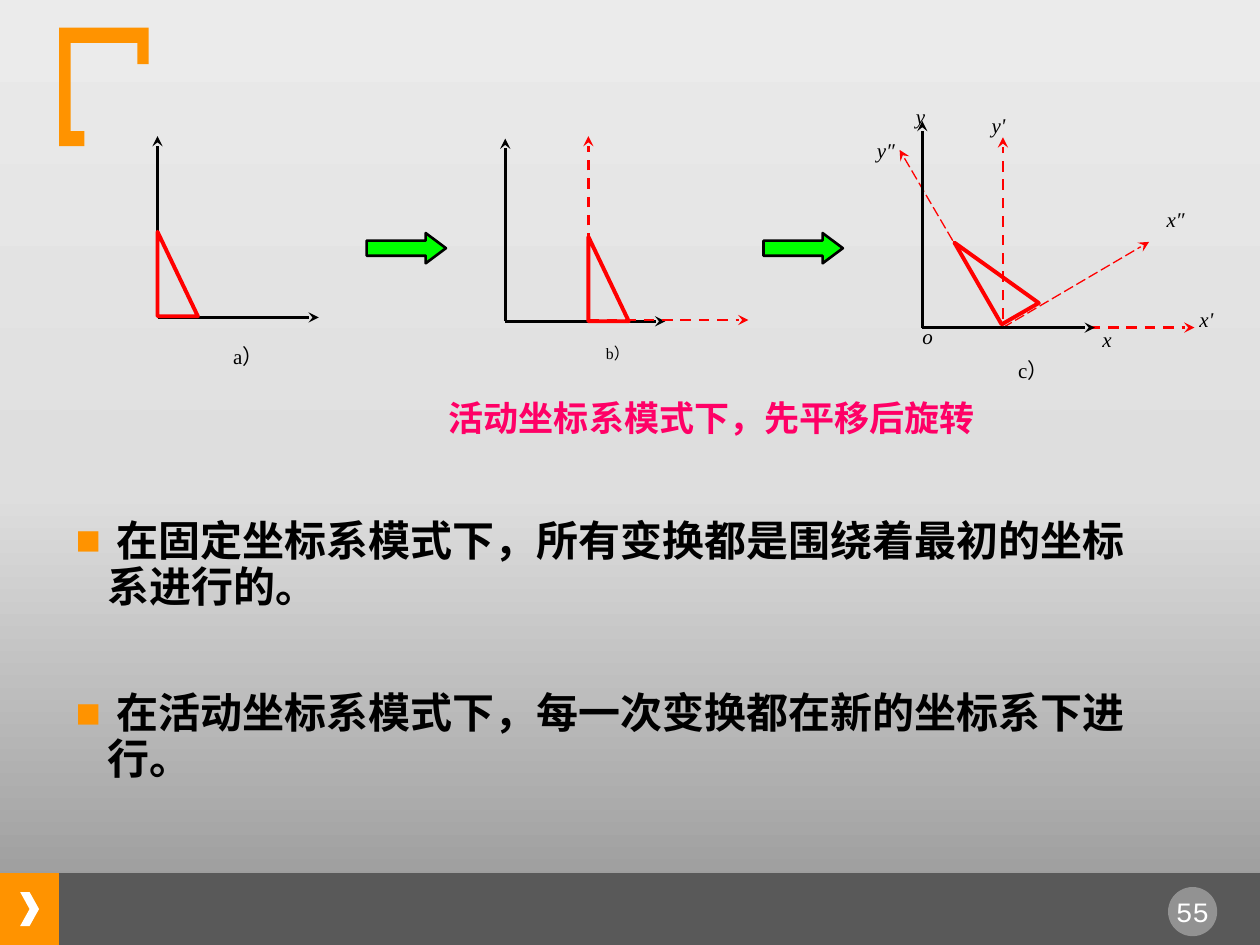
from copy import deepcopy
from lxml.etree import SubElement
from pptx import Presentation
from pptx.dml.color import RGBColor
from pptx.enum.dml import MSO_LINE
from pptx.enum.shapes import MSO_CONNECTOR, MSO_SHAPE
from pptx.enum.text import MSO_ANCHOR, MSO_AUTO_SIZE, PP_ALIGN
from pptx.oxml.ns import qn
from pptx.util import Inches, Pt

BLACK, RED, WHITE, ORANGE = "000000", "FF0000", "FFFFFF", "FF9300"
SANS, SERIF, MONO = "Noto Sans CJK SC", "Times New Roman", "Courier New"
SOLID, DASH, LONG = MSO_LINE.SOLID, MSO_LINE.DASH, MSO_LINE.LONG_DASH

BACKDROP = [(0, "949494"), (0.48, "DEDEDE"), (1, "EBEBEB")]
FRAME = [
    (MSO_SHAPE.RECTANGLE, (0, 6.93, 0.47, 0.57), ORANGE),
    (MSO_SHAPE.RECTANGLE, (0.47, 6.93, 9.53, 0.57), "595959"),
    (MSO_SHAPE.CHEVRON, (0.16, 7.08, 0.15, 0.27), WHITE),
    (MSO_SHAPE.OVAL, (9.27, 7.04, 0.39, 0.39), WHITE),
]
BRACKET = [(0.47, 0.22), (1.18, 0.22), (1.18, 0.51), (1.09, 0.51), (1.09, 0.34),
           (0.56, 0.34), (0.56, 1.04), (0.67, 1.04), (0.67, 1.16), (0.47, 1.16)]
POINTS = [
    " 在固定坐标系模式下，所有变换都是围绕着最初的坐标系进行的。",
    " 在活动坐标系模式下，每一次变换都在新的坐标系下进行。",
]
CAPTION = "活动坐标系模式下，先平移后旋转"
STEP_ARROWS = [2.91, 6.06]

DIAGRAMS = [
    {
        "axes": [((1.25, 2.52), (2.53, 2.52), BLACK, 1.5, SOLID),
                 ((1.25, 2.52), (1.25, 1.08), BLACK, 1.5, SOLID)],
        "triangle": (1.25, 1.84, 0.32, 0.67, 0),
        "labels": [("a）", (1.85, 2.73, 0.46, 0.37), 12, False)],
    },
    {
        "axes": [((4.01, 2.55), (5.28, 2.55), BLACK, 1.5, SOLID),
                 ((4.01, 2.55), (4.01, 1.1), BLACK, 1.5, SOLID),
                 ((4.67, 2.54), (5.94, 2.54), RED, 1.5, DASH),
                 ((4.67, 2.52), (4.67, 1.08), RED, 1.5, DASH)],
        "triangle": (4.67, 1.88, 0.32, 0.67, 0),
        "labels": [("b）", (4.81, 2.73, 0.46, 0.37), 9, False)],
    },
    {
        "axes": [((8.21, 2.6), (9.48, 2.6), RED, 1.5, DASH),
                 ((7.96, 2.59), (7.14, 1.19), RED, 0.75, LONG),
                 ((7.96, 2.6), (9.12, 1.92), RED, 0.75, LONG),
                 ((7.32, 2.6), (8.69, 2.6), BLACK, 1.5, SOLID),
                 ((7.32, 2.6), (7.32, 0.96), BLACK, 1.5, SOLID),
                 ((7.96, 2.53), (7.96, 1.09), RED, 1.5, DASH)],
        "triangle": (7.74, 1.79, 0.34, 0.75, 330),
        "labels": [("c）", (8.08, 2.84, 0.53, 0.32), 12, False),
                   ("x″", (9.26, 1.64, 0.27, 0.3), 12, True),
                   ("x", (8.75, 2.59, 0.14, 0.3), 12, True),
                   ("y", (7.27, 0.82, 0.14, 0.3), 12, True),
                   ("y″", (6.96, 1.09, 0.27, 0.3), 12, True),
                   ("o", (7.32, 2.57, 0.11, 0.31), 12, True),
                   ("x'", (9.52, 2.43, 0.27, 0.3), 12, True),
                   ("y'", (7.87, 0.89, 0.27, 0.3), 12, True)],
    },
]


def paint(color_format, color):
    color_format.rgb = RGBColor.from_string(color)


def fill_with(shape, color):
    shape.shadow.inherit = False
    shape.fill.solid()
    paint(shape.fill.fore_color, color)
    shape.line.fill.background()


def outline(shape, color, width):
    paint(shape.line.color, color)
    shape.line.width = Pt(width)


def style(para, face, size, color, bold=False, italic=False):
    font = para.font
    font.name, font.size, font.bold, font.italic = face, Pt(size), bold, italic
    paint(font.color, color)
    if face == SANS:
        latin = font._element.find(qn("a:latin"))
        east_asian = deepcopy(latin)
        east_asian.tag = qn("a:ea")
        latin.addnext(east_asian)


def add_text(shapes, text, area, align, inset=None):
    box = shapes.add_textbox(*map(Inches, area))
    frame = box.text_frame
    frame.word_wrap = True
    if inset is not None:
        frame.margin_left = frame.margin_right = Inches(inset)
        frame.margin_top = frame.margin_bottom = Inches(inset)
    para = frame.paragraphs[0]
    para.text, para.alignment = text, align
    return para


def add_polygon(shapes, corners):
    (x, y), *others = [(Inches(x), Inches(y)) for x, y in corners]
    builder = shapes.build_freeform(x, y)
    builder.add_line_segments(others, close=True)
    shape = builder.convert_to_shape()
    shape.shadow.inherit = False
    return shape


def add_axis(shapes, start, end, color, width, dash):
    axis = shapes.add_connector(MSO_CONNECTOR.STRAIGHT, *map(Inches, start + end))
    outline(axis, color, width)
    axis.line.dash_style = dash
    SubElement(axis.line._get_or_add_ln(), qn("a:tailEnd"), type="stealth")
    SubElement(axis._element.spPr, qn("a:effectLst"))


def add_triangle(shapes, left, top, width, height, rotation):
    bottom = top + height
    shape = add_polygon(shapes, [(left, top), (left, bottom), (left + width, bottom)])
    shape.fill.background()
    outline(shape, RED, 2.25)
    shape.rotation = rotation


def add_diagram(page, diagram):
    shapes = page.shapes.add_group_shape().shapes
    for axis in diagram["axes"]:
        add_axis(shapes, *axis)
    add_triangle(shapes, *diagram["triangle"])
    for text, area, size, italic in diagram["labels"]:
        para = add_text(shapes, text, area, PP_ALIGN.JUSTIFY, 0)
        style(para, SERIF, size, BLACK, italic=italic)


def add_backdrop(page):
    fill = page.background.fill
    fill.gradient()
    fill.gradient_angle = 90
    last = fill.gradient_stops[1]._gs
    last.addnext(deepcopy(last))
    for stop, (position, color) in zip(fill.gradient_stops, BACKDROP):
        stop.position = position
        paint(stop.color, color)


def add_frame(page):
    for kind, area, color in FRAME:
        shape = page.shapes.add_shape(kind, *map(Inches, area))
        fill_with(shape, color)
    tint = shape.fill._xPr.find(".//" + qn("a:srgbClr"))
    SubElement(tint, qn("a:alpha"), val="35000")
    para = add_text(page.shapes, "55", (9.2, 7.05, 0.53, 0.37), PP_ALIGN.CENTER)
    style(para, MONO, 16, WHITE)
    fill_with(add_polygon(page.shapes, BRACKET), ORANGE)


def fill_body(body):
    body.left, body.top, body.width, body.height = map(Inches, (0.5, 4.08, 8.85, 2.23))
    frame = body.text_frame
    frame.text = "\n".join(POINTS)
    frame.auto_size, frame.vertical_anchor = MSO_AUTO_SIZE.NONE, MSO_ANCHOR.TOP
    for index, para in enumerate(frame.paragraphs):
        para.line_spacing = 0.9
        para.space_before = Pt(46.5 if index else 0)
        props = para._p.get_or_add_pPr()
        props.set("marL", str(Inches(0.25)))
        props.set("indent", str(Inches(-0.25)))
        SubElement(SubElement(props, qn("a:buClr")), qn("a:srgbClr"), val=ORANGE)
        SubElement(props, qn("a:buChar"), char="■")
        style(para, SANS, 24, BLACK, bold=True)


def main():
    """Build the slide on transforms in fixed and moving coordinate systems."""
    deck = Presentation()
    deck.slide_width, deck.slide_height = Inches(10), Inches(7.5)
    page = deck.slides.add_slide(deck.slide_layouts[1])
    title = page.shapes.title._element
    title.getparent().remove(title)
    add_backdrop(page)
    add_frame(page)
    fill_body(page.placeholders[1])
    para = add_text(page.shapes, CAPTION, (2.86, 3.1, 5.58, 0.55), PP_ALIGN.CENTER)
    style(para, SANS, 20, "FF0066", bold=True)
    for left in STEP_ARROWS:
        arrow = page.shapes.add_shape(MSO_SHAPE.RIGHT_ARROW, *map(Inches, (left, 1.85, 0.63, 0.24)))
        fill_with(arrow, "00FF00")
        outline(arrow, BLACK, 1.5)
        arrow.adjustments[1] = 0.67
    for diagram in DIAGRAMS:
        add_diagram(page, diagram)
    deck.save("out.pptx")


if __name__ == "__main__":
    main()
